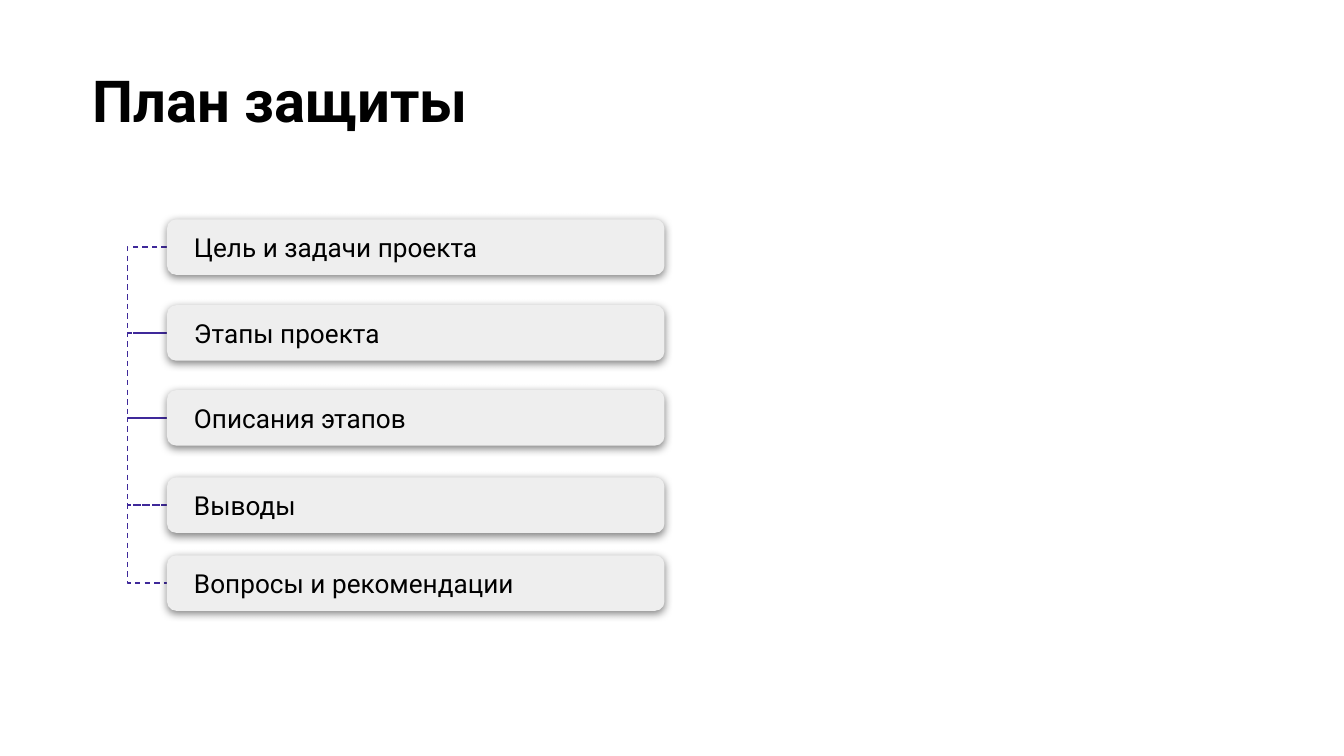
import pptx
import pptx.util
import pptx.dml.color
import pptx.enum.dml
import pptx.enum.shapes
import pptx.enum.text
import pptx.oxml
import pptx.oxml.ns
import lxml.etree

Pt = pptx.util.Pt
qn = pptx.oxml.ns.qn
ANCHOR = pptx.enum.text.MSO_ANCHOR
HUES = {"ink": "000000", "card": "EEEEEE", "link": "3F299A", "page": "FFFFFF"}
FONT = "Roboto"

# Agenda steps: text and top edge within the agenda box
STEPS = [
    ("Цель и задачи проекта", 0),
    ("Этапы проекта", 46),
    ("Описания этапов", 91.5),
    ("Выводы", 138.25),
    ("Вопросы и рекомендации", 180),
]


def hue(name):
    return pptx.dml.color.RGBColor.from_string(HUES[name])


def write(shape, text, size=14, bold=False, inset=7.2, anchor=ANCHOR.TOP):
    frame = shape.text_frame
    frame.word_wrap = True
    frame.vertical_anchor = anchor
    frame.margin_left = frame.margin_right = Pt(inset)
    frame.margin_top = frame.margin_bottom = Pt(7.2)
    para = frame.paragraphs[0]
    para.alignment = pptx.enum.text.PP_ALIGN.LEFT
    run = para.add_run()
    run.text = text
    run.font.name = FONT
    run.font.size = Pt(size)
    run.font.bold = bold
    run.font.color.rgb = hue("ink")


def shade(shape):
    """Give a soft shadow that falls straight down."""
    shape.shadow.inherit = False
    effects = shape._element.spPr.find(qn("a:effectLst"))
    outer = lxml.etree.SubElement(
        effects, qn("a:outerShdw"), blurRad=str(Pt(4.5)), dist=str(Pt(1.5)),
        dir="5400000", algn="bl", rotWithShape="0")
    tint = lxml.etree.SubElement(outer, qn("a:srgbClr"), val=HUES["ink"])
    lxml.etree.SubElement(tint, qn("a:alpha"), val="50000")


def card(slide, text, left, top, width, height):
    shape = slide.shapes.add_shape(
        pptx.enum.shapes.MSO_SHAPE.ROUNDED_RECTANGLE,
        Pt(left), Pt(top), Pt(width), Pt(height))
    shape.adjustments[0] = 0.167
    shape.fill.solid()
    shape.fill.fore_color.rgb = hue("card")
    shape.line.fill.background()
    shade(shape)
    write(shape, text, inset=13, anchor=ANCHOR.MIDDLE)


def link(slide, left, start, end, reach=18.75, span=0.05):
    """Join two card edges by a dashed bracket reaching to the left."""
    line = slide.shapes.add_connector(
        pptx.enum.shapes.MSO_CONNECTOR.ELBOW,
        Pt(left), Pt(start), Pt(left + span), Pt(end))
    line.line.color.rgb = hue("link")
    line.line.width = Pt(0.75)
    line.line.dash_style = pptx.enum.dml.MSO_LINE.DASH
    props = line._element.spPr
    bends = props.find(qn("a:prstGeom")).find(qn("a:avLst"))
    bend = round(-reach / span * 100000)
    lxml.etree.SubElement(bends, qn("a:gd"), name="adj1", fmla=f"val {bend}")
    lxml.etree.SubElement(props, qn("a:effectLst"))


def title(slide, left, top, width, height):
    box = slide.shapes.add_textbox(Pt(left), Pt(top), Pt(width), Pt(height))
    write(box, "План защиты", size=31, bold=True)


def agenda(slide, left, top, width, height):
    tall = height - STEPS[-1][1]
    mids = [top + drop + tall / 2 for _, drop in STEPS]
    # Brackets between neighbouring cards
    for start, end in zip(mids, mids[1:]):
        link(slide, left, start, end)
    # Cards
    for text, drop in STEPS:
        card(slide, text, left, top + drop, width, tall)


def main():
    deck = pptx.Presentation()
    deck.slide_width, deck.slide_height = Pt(720), Pt(405)
    slide = deck.slides.add_slide(deck.slide_layouts[6])
    slide.background.fill.solid()
    slide.background.fill.fore_color.rgb = hue("page")
    title(slide, 42.5, 27.4, 671, 51.8)
    agenda(slide, 89.5, 117.5, 266.5, 209.75)
    deck.save("out.pptx")


if __name__ == "__main__":
    main()
